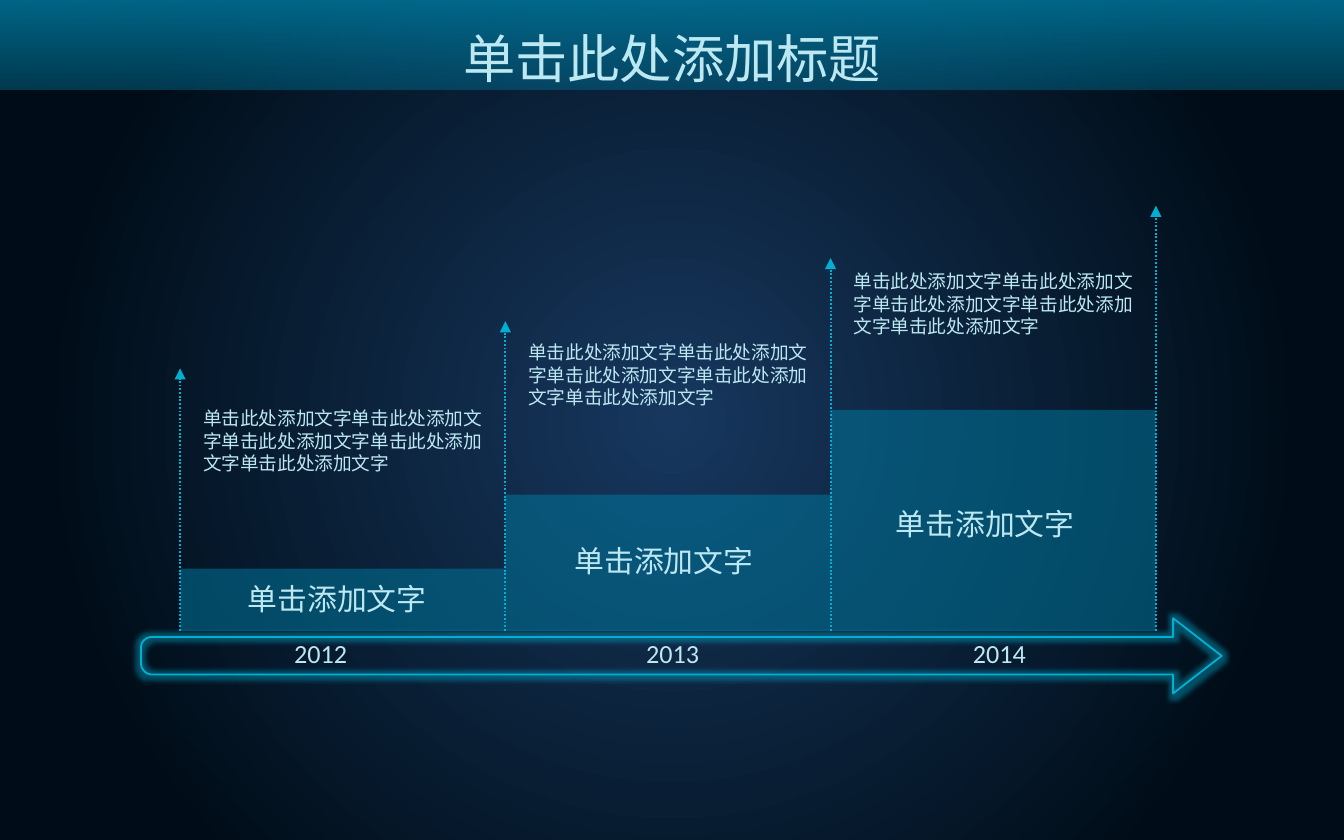
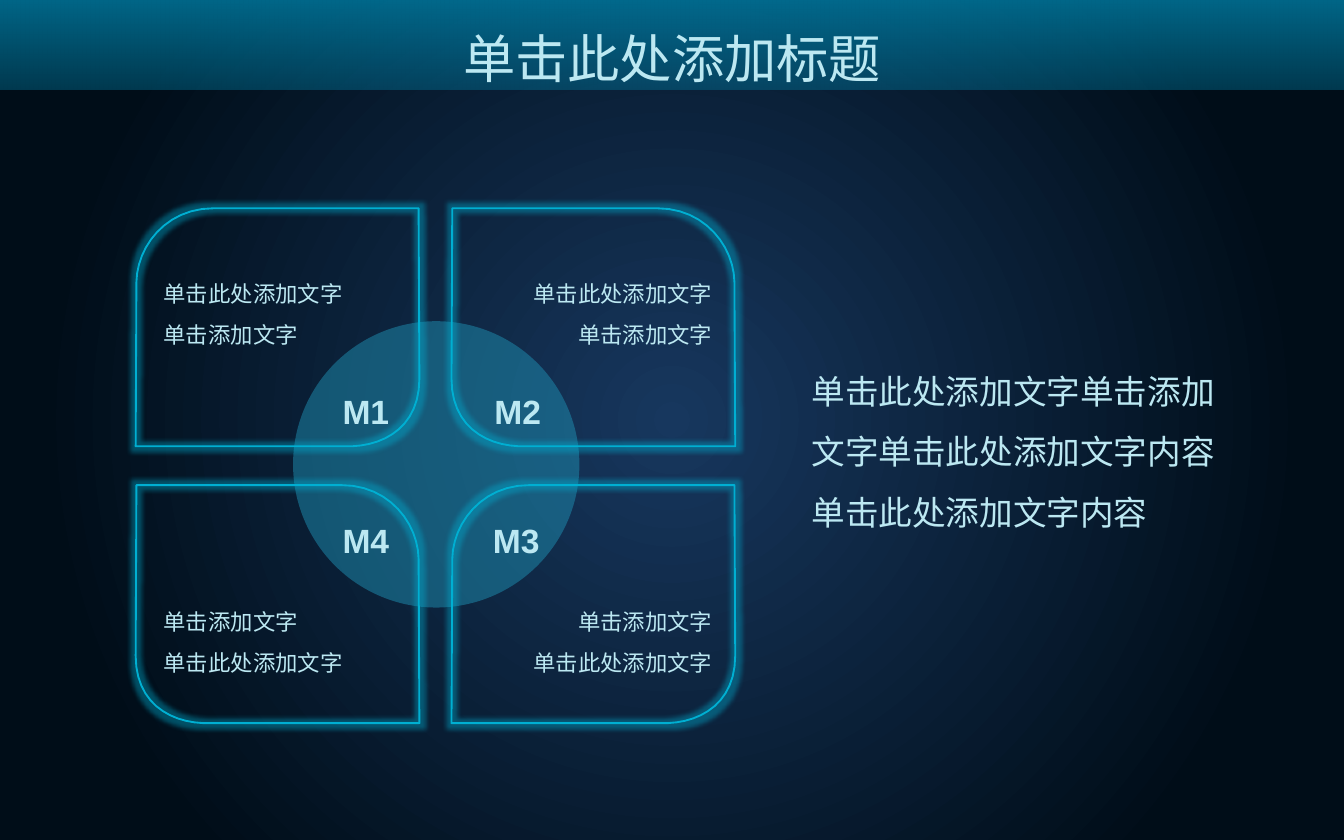
from pptx import Presentation
from pptx.dml.color import RGBColor
from pptx.enum import shapes, text
from pptx.oxml import parse_xml
from pptx.oxml import ns
from pptx.util import Pt

COLORS = {"glow": "00AFD2", "text": "BCE8F2", "shine": "4EC3DE", "bar": "007DA4",
          "hub": "1E8FB2", "center": "17375E", "edge": "000D18"}
HAN, LATIN, DIGITS = "Noto Sans CJK SC", "Arial", "Calibri"
LEFT, CENTER, RIGHT = text.PP_ALIGN.LEFT, text.PP_ALIGN.CENTER, text.PP_ALIGN.RIGHT
SHAPE = shapes.MSO_SHAPE

TITLE = "单击此处添加标题"
LONG, SHORT = "单击此处添加文字", "单击添加文字"
SUMMARY = "单击此处添加文字单击添加文字单击此处添加文字内容单击此处添加文字内容"

STEPS = [
    {"year": "2012", "year_left": 146.9, "top": 304.6, "note_top": 214.6, "label": (113, 307.4)},
    {"year": "2013", "year_left": 335.5, "top": 265, "note_top": 179.3, "label": (288, 287.3)},
    {"year": "2014", "year_left": 510.5, "top": 219.6, "note_top": 141.1, "label": (460.1, 267.1)},
]
BARS_LEFT, BAR_WIDTH, BASE = 96.5, 174.24, 338
RISER_TOPS = [197.3, 172.1, 138.2, 110.2]

ARROW = [
    [(628.5, 331.2)], [(654.5, 351.4)], [(628.5, 371.5)], [(628.5, 361.4)], [(81.4, 361.4)],
    [(78.5, 361.4), (75.6, 358.6), (75.6, 355.7)], [(75.6, 347)],
    [(75.6, 343.4), (78.5, 341.3), (81.4, 341.3)], [(628.5, 341.3)],
]

LEAF_WIDTH = 152
LEAF = [
    [(116, 127.5)], [(0, 127.5)], [(0.4, 39.6)],
    [(0.7, 20.9), (15.8, 0), (41.8, 0)], [(151.6, 0)], [(152, 91.4)],
    [(152, 116), (134.6, 126.7), (116, 127.5)],
]
LEAF_LEFTS, LEAF_TOPS = (72.7, 241.9), (111.6, 259.9)
LEAF_TEXT_LEFTS, LEAF_TEXT_TOPS = (80.6, 242.6), (139, 314.6)
LEAF_TEXTS = [(LONG, SHORT), (SHORT, LONG)]
MARKS = [("M1", 176.4, 205.9), ("M2", 257.8, 205.9), ("M4", 176.4, 275), ("M3", 257, 275)]


def color(name):
    return RGBColor.from_string(COLORS[name])


def set_gradient(fill, holder, stops, direction):
    fill.gradient()
    marks = "".join(
        f'<a:gs pos="{place * 1000}"><a:srgbClr val="{COLORS[name]}">'
        f'<a:alpha val="{alpha * 1000}"/></a:srgbClr></a:gs>'
        for place, name, alpha in stops)
    holder.replace(holder.find(ns.qn("a:gradFill")), parse_xml(
        f'<a:gradFill {ns.nsdecls("a")} rotWithShape="1"><a:gsLst>{marks}</a:gsLst>'
        f'{direction}</a:gradFill>'))


def format_para(para, size, font, align=LEFT, spacing=None, bold=None):
    para.alignment = align
    if spacing:
        para.line_spacing = spacing
    para.font.size = Pt(size)
    para.font.name = font
    para.font.bold = bold
    para.font.color.rgb = color("text")
    holder = para._p.pPr.find(ns.qn("a:defRPr"))
    holder.append(parse_xml(f'<a:ea {ns.nsdecls("a")} typeface="{font}"/>'))
    return holder


def add_text(parent, place, lines, size, font=HAN, wrap=True, **style):
    box = parent.shapes.add_textbox(*map(Pt, place))
    frame = box.text_frame
    frame.word_wrap = wrap
    frame.auto_size = text.MSO_AUTO_SIZE.SHAPE_TO_FIT_TEXT
    frame.text = "\n".join(lines)
    for para in frame.paragraphs:
        format_para(para, size, font, **style)


def add_plain(parent, kind, place, fill=None):
    shape = parent.shapes.add_shape(kind, *map(Pt, place))
    shape.shadow.inherit = False
    shape.line.fill.background()
    if fill:
        shape.fill.solid()
        shape.fill.fore_color.rgb = color(fill)
        tint = shape._element.spPr.find(".//" + ns.qn("a:srgbClr"))
        tint.append(parse_xml(f'<a:alpha {ns.nsdecls("a")} val="50000"/>'))
    return shape


def trace(segments, steps=12):
    points = list(segments[0])
    for segment in segments[1:]:
        if len(segment) == 1:
            points += segment
            continue
        corners = [points[-1], *segment]
        for step in range(1, steps + 1):
            t = step / steps
            weights = ((1 - t) ** 3, 3 * t * (1 - t) ** 2, 3 * t * t * (1 - t), t ** 3)
            points.append(tuple(sum(w * corner[axis] for w, corner in zip(weights, corners))
                                for axis in (0, 1)))
    return points


def add_glowing(page, points):
    spots = [(Pt(x), Pt(y)) for x, y in points]
    builder = page.shapes.build_freeform(*spots[0], scale=1.0)
    builder.add_line_segments(spots[1:], close=True)
    shape = builder.convert_to_shape()
    shape.fill.background()
    shape.line.color.rgb = color("glow")
    shape.line.width = Pt(1)
    shape.shadow.inherit = False
    shape._element.spPr.find(ns.qn("a:effectLst")).append(parse_xml(
        f'<a:glow {ns.nsdecls("a")} rad="{Pt(5)}"><a:srgbClr val="{COLORS["glow"]}">'
        '<a:alpha val="40000"/></a:srgbClr></a:glow>'))


def add_riser(page, x, top):
    riser = page.shapes.add_connector(
        shapes.MSO_CONNECTOR.STRAIGHT, Pt(x), Pt(BASE), Pt(x), Pt(top))
    riser.line.color.rgb = color("glow")
    riser.line.width = Pt(1)
    outline = riser.line._get_or_add_ln()
    outline.append(parse_xml(f'<a:prstDash {ns.nsdecls("a")} val="sysDot"/>'))
    outline.append(parse_xml(f'<a:tailEnd {ns.nsdecls("a")} type="triangle"/>'))
    riser._element.spPr.append(parse_xml(f'<a:effectLst {ns.nsdecls("a")}/>'))


def add_page(deck):
    page = deck.slides.add_slide(deck.slide_layouts[5])
    title = page.shapes.title
    title.left, title.top, title.width, title.height = map(Pt, (207.4, 3.6, 305.3, 48.2))
    frame = title.text_frame
    frame.text = TITLE
    frame.word_wrap = True
    frame.vertical_anchor = text.MSO_ANCHOR.TOP
    frame.auto_size = text.MSO_AUTO_SIZE.SHAPE_TO_FIT_TEXT
    para = frame.paragraphs[0]
    holder = format_para(para, 28, HAN, CENTER, 1.2)
    set_gradient(para.font.fill, holder,
                 [(0, "shine", 100), (40, "text", 100), (60, "text", 100), (100, "shine", 100)],
                 '<a:lin ang="0" scaled="0"/>')
    return page


def dress_master(deck, page):
    master = deck.slide_master
    fill = master.background.fill
    fill.solid()
    set_gradient(fill, master.element.find(".//" + ns.qn("p:bgPr")),
                 [(0, "center", 100), (80, "edge", 100)],
                 '<a:path path="circle"><a:fillToRect l="50000" t="50000" r="50000" b="50000"/>'
                 '</a:path>')
    band = add_plain(page, SHAPE.ROUND_2_SAME_RECTANGLE, (0, 0, 720, 48.2))
    band.adjustments[0] = 0
    set_gradient(band.fill, band._element.spPr, [(0, "bar", 80), (100, "bar", 39)],
                 '<a:lin ang="5400000" scaled="0"/>')
    master.shapes.element.insert(2, band._element)


def fill_timeline(page):
    for index, step in enumerate(STEPS):
        left = BARS_LEFT + index * BAR_WIDTH
        add_plain(page, SHAPE.RECTANGLE, (left, step["top"], BAR_WIDTH, BASE - step["top"]), "bar")
        add_text(page, (left + 5.2, step["note_top"], 169.2, 43.9), [LONG * 5], 10)
        add_text(page, (*step["label"], 135.4, 26.6), [SHORT], 16, align=CENTER)
    add_glowing(page, trace(ARROW))
    for step in STEPS:
        add_text(page, (step["year_left"], 337.7, 49.7, 24.5), [step["year"]], 14, DIGITS,
                 align=CENTER)
    for index, top in enumerate(RISER_TOPS):
        add_riser(page, BARS_LEFT + index * BAR_WIDTH, top)


def fill_quadrants(page):
    hub = page.shapes.add_group_shape()
    add_plain(hub, SHAPE.OVAL, (157, 172.1, 153.4, 153.4), "hub")
    for mark, left, top in MARKS:
        add_text(hub, (left, top, 39.6, 28.8), [mark], 18, LATIN, wrap=False, bold=True)
    add_text(page, (427.7, 184.3, 244.1, 105.1), [SUMMARY], 18, spacing=1.5)
    leaf = trace(LEAF)
    for row, top in enumerate(LEAF_TOPS):
        for column, left in enumerate(LEAF_LEFTS):
            add_text(page, (LEAF_TEXT_LEFTS[column], LEAF_TEXT_TOPS[row], 146.2, 51.8),
                     LEAF_TEXTS[row], 12, align=(LEFT, RIGHT)[column], spacing=Pt(22))
            mirrored = row != column
            add_glowing(page, [(left + (LEAF_WIDTH - x if mirrored else x), top + y)
                               for x, y in leaf])


def main():
    deck = Presentation()
    deck.slide_width, deck.slide_height = Pt(720), Pt(450)
    timeline = add_page(deck)
    dress_master(deck, timeline)
    fill_timeline(timeline)
    fill_quadrants(add_page(deck))
    deck.save("out.pptx")


if __name__ == "__main__":
    main()
